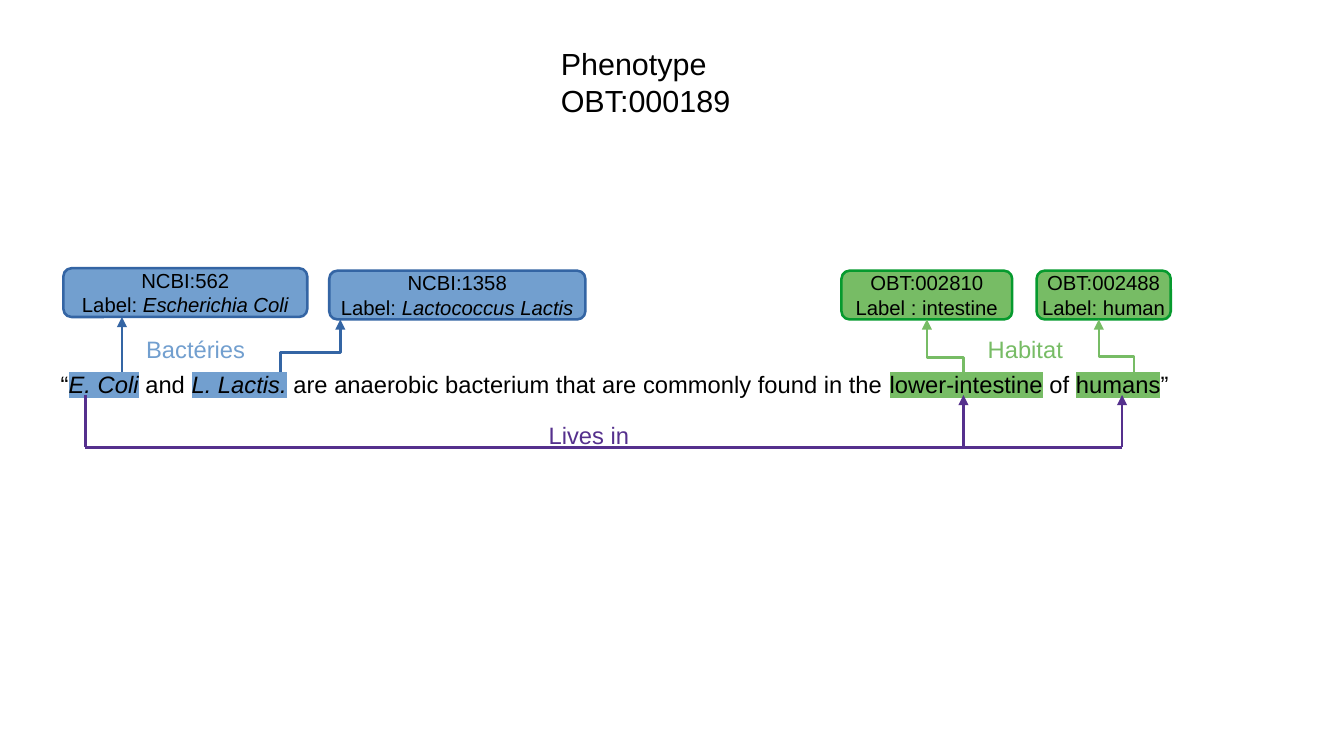
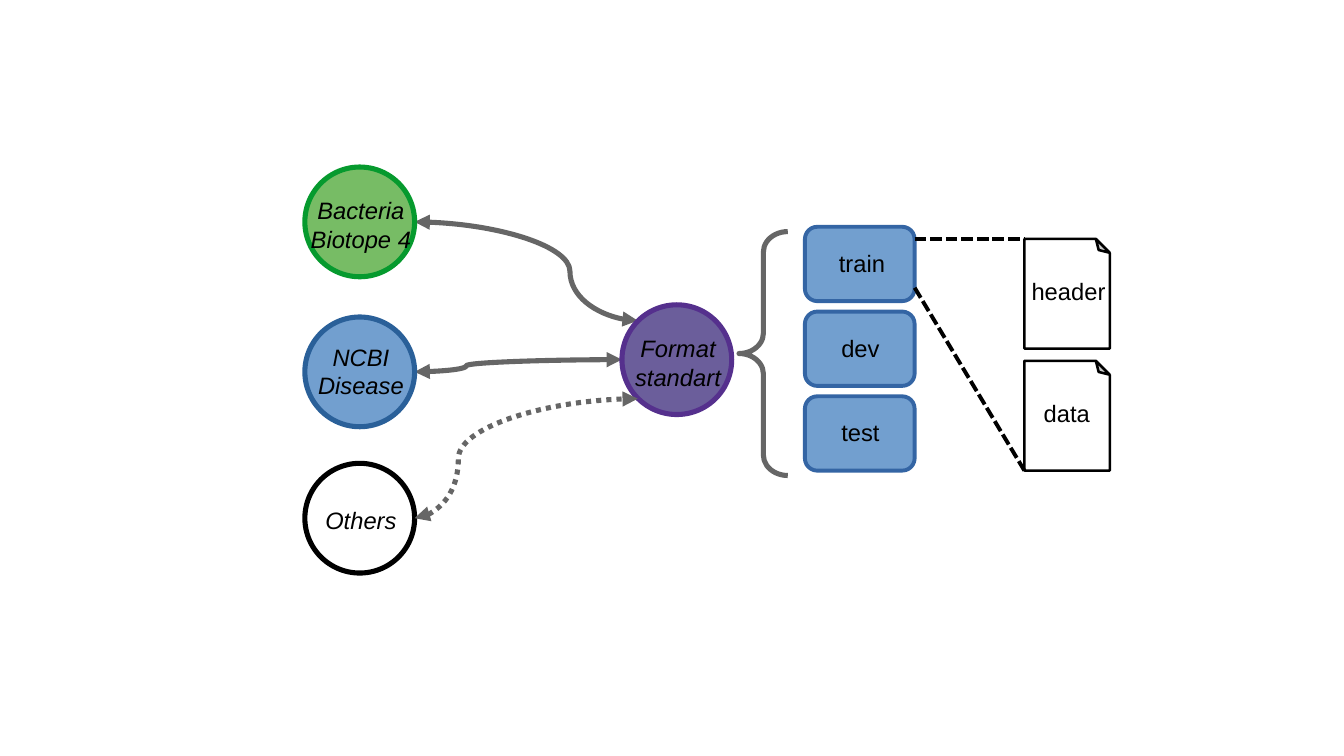
from lxml.etree import SubElement
from pptx import Presentation
from pptx.dml.color import RGBColor
from pptx.enum.dml import MSO_LINE
from pptx.enum.shapes import MSO_CONNECTOR, MSO_SHAPE
from pptx.enum.text import MSO_ANCHOR, PP_ALIGN
from pptx.oxml.ns import qn
from pptx.util import Inches, Pt

BLACK = RGBColor(0x00, 0x00, 0x00)
WHITE = RGBColor(0xFF, 0xFF, 0xFF)
GRAY = RGBColor(0x66, 0x66, 0x66)
BLUE = RGBColor(0x72, 0x9F, 0xCF)
BLUE_EDGE = RGBColor(0x34, 0x65, 0xA4)
BLUE_RING = RGBColor(0x2A, 0x60, 0x99)
GREEN = RGBColor(0x77, 0xBC, 0x65)
GREEN_EDGE = RGBColor(0x06, 0x9A, 0x2E)
PURPLE = RGBColor(0x6B, 0x5E, 0x9B)
PURPLE_EDGE = RGBColor(0x55, 0x30, 0x8D)


class Deck:
    font = "Arial"
    thin, medium, thick = 1.5, 2.3, 3

    def __init__(self):
        self.deck = Presentation()
        self.deck.slide_width = Inches(11.02)
        self.deck.slide_height = Inches(6.2)
        self.slide = None

    def new_slide(self):
        self.slide = self.deck.slides.add_slide(self.deck.slide_layouts[6])

    def style_run(self, run, size, color, italic=False, highlight=None):
        run.font.name = self.font
        run.font.size = Pt(size)
        run.font.italic = italic
        run.font.color.rgb = color
        if highlight is not None:
            properties = run.font._element
            mark = SubElement(properties, qn("a:highlight"))
            SubElement(mark, qn("a:srgbClr")).set("val", str(highlight))
            properties.find(qn("a:solidFill")).addnext(mark)

    def set_guide(self, item, name, ratio):
        geometry = item._element.spPr.find(qn("a:prstGeom"))
        guides = geometry.find(qn("a:avLst"))
        if guides is None:
            guides = SubElement(geometry, qn("a:avLst"))
        guide = SubElement(guides, qn("a:gd"))
        guide.set("name", name)
        guide.set("fmla", f"val {round(ratio * 100000)}")

    def text(self, left, top, width, height, words, size=14, color=BLACK,
             italic=False, align=PP_ALIGN.LEFT):
        box = self.slide.shapes.add_textbox(
            Inches(left), Inches(top), Inches(width), Inches(height))
        frame = box.text_frame
        frame.word_wrap = True
        frame.text = words
        for paragraph in frame.paragraphs:
            paragraph.alignment = align
            for run in paragraph.runs:
                self.style_run(run, size, color, italic)
        return frame

    def sentence(self, left, top, width, height, pieces):
        paragraph = self.text(left, top, width, height, "").paragraphs[0]
        paragraph.alignment = PP_ALIGN.JUSTIFY
        for words, italic, highlight in pieces:
            run = paragraph.add_run()
            run.text = words
            self.style_run(run, 14, BLACK, italic, highlight)

    def shape(self, kind, left, top, width, height, fill, edge, weight):
        shape = self.slide.shapes.add_shape(
            kind, Inches(left), Inches(top), Inches(width), Inches(height))
        shape.shadow.inherit = False
        if fill is None:
            shape.fill.background()
        else:
            shape.fill.solid()
            shape.fill.fore_color.rgb = fill
        shape.line.color.rgb = edge
        shape.line.width = Pt(weight)
        return shape

    def entity(self, left, top, width, identifier, prefix, name, fill, edge, italic):
        box = self.shape(MSO_SHAPE.ROUNDED_RECTANGLE, left, top, width, 0.4,
                         fill, edge, self.thin)
        frame = box.text_frame
        frame.word_wrap = False
        frame.vertical_anchor = MSO_ANCHOR.MIDDLE
        frame.margin_left = frame.margin_right = Inches(0.11)
        frame.margin_top = frame.margin_bottom = Inches(0.06)
        frame.text = f"{identifier}\n{prefix}"
        label = frame.paragraphs[1].add_run()
        label.text = name
        for paragraph in frame.paragraphs:
            paragraph.alignment = PP_ALIGN.CENTER
            for run in paragraph.runs:
                self.style_run(run, 12, BLACK)
        label.font.italic = italic

    def circle(self, left, top, label_top, words, fill, edge):
        self.shape(MSO_SHAPE.OVAL, left, top, 0.9, 0.9, fill, edge, self.thick)
        self.text(left - 0.14, label_top, 1.2, 0.54, words, italic=True,
                  align=PP_ALIGN.CENTER)

    def page(self, top, label_left, words):
        sheet = self.shape(MSO_SHAPE.FOLDED_CORNER, 8.4, top, 0.7, 0.9,
                           WHITE, BLACK, self.thin)
        self.set_guide(sheet, "adj", 0.163)
        sheet._element.spPr.find(qn("a:xfrm")).set("flipV", "1")
        self.text(label_left, top + 0.26, 0.84, 0.34, words)

    def line(self, start, end, color, weight, head=False, tail=False, dash=None,
             kind=MSO_CONNECTOR.STRAIGHT, bend=None):
        link = self.slide.shapes.add_connector(
            kind, *(Inches(value) for value in (*start, *end)))
        link.line.color.rgb = color
        link.line.width = Pt(weight)
        if dash is not None:
            link.line.dash_style = dash
        properties = link._element.spPr
        outline = properties.find(qn("a:ln"))
        for tag, wanted in (("a:headEnd", head), ("a:tailEnd", tail)):
            if wanted:
                SubElement(outline, qn(tag)).set("type", "triangle")
        SubElement(properties, qn("a:effectLst"))
        if bend is not None:
            self.set_guide(link, "adj1", bend)
        return link

    def step_up(self, start, end, color):
        middle_x, middle_y = (start[0] + end[0]) / 2, (start[1] + end[1]) / 2
        half_rise, half_run = (start[1] - end[1]) / 2, (end[0] - start[0]) / 2
        link = self.line((middle_x - half_rise, middle_y - half_run),
                         (middle_x + half_rise, middle_y + half_run),
                         color, self.thin, tail=True,
                         kind=MSO_CONNECTOR.ELBOW, bend=0.5)
        link._element.spPr.find(qn("a:xfrm")).set("rot", str(270 * 60000))

    def exchange(self, start, end, bend, dash=None):
        self.line(start, end, GRAY, self.thick, head=True, tail=True, dash=dash,
                  kind=MSO_CONNECTOR.CURVE, bend=bend)


def annotation_slide(deck):
    deck.new_slide()
    deck.text(4.5, 0.32, 3.08, 0.66, "Phenotype\vOBT:000189", size=18)
    for left, top, width, identifier, prefix, name, fill, edge, italic in (
        (0.52, 2.2, 2, "NCBI:562", "Label: ", "Escherichia Coli", BLUE, BLUE_EDGE, True),
        (2.7, 2.22, 2.1, "NCBI:1358", "Label: ", "Lactococcus Lactis", BLUE, BLUE_EDGE, True),
        (6.9, 2.22, 1.4, "OBT:002810", "Label : ", "intestine", GREEN, GREEN_EDGE, False),
        (8.5, 2.22, 1.1, "OBT:002488", "Label: ", "human", GREEN, GREEN_EDGE, False),
    ):
        deck.entity(left, top, width, identifier, prefix, name, fill, edge, italic)

    deck.line((1, 3.2), (1, 2.6), BLUE_EDGE, deck.thin, tail=True)
    deck.step_up((2.3, 3.16), (2.79, 2.62), BLUE_EDGE)
    deck.step_up((7.9, 3.24), (7.6, 2.62), GREEN)
    deck.step_up((9.3, 3.23), (9.01, 2.62), GREEN)

    deck.sentence(0.4, 2.98, 9.3, 0.54, (
        ("“", False, None),
        ("E. Coli", True, BLUE),
        (" and ", False, None),
        ("L. Lactis.", True, BLUE),
        (" are anaerobic bacterium that are commonly found in the ", False, None),
        ("lower-intestine", False, GREEN),
        (" of ", False, None),
        ("humans", False, GREEN),
        ("”", False, None),
    ))
    deck.text(1.1, 2.7, 2.4, 0.54, "Bactéries", color=BLUE)
    deck.text(8, 2.7, 1.21, 0.32, "Habitat", color=GREEN)
    deck.text(4.4, 3.4, 2.4, 0.54, "Lives in", color=PURPLE_EDGE)

    deck.line((9.2, 3.67), (0.7, 3.67), PURPLE_EDGE, deck.thin)
    for x, arrow in ((0.7, False), (7.9, True), (9.2, True)):
        deck.line((x, 3.24), (x, 3.67), PURPLE_EDGE, deck.thin, head=arrow)


def format_slide(deck):
    deck.new_slide()
    deck.exchange((5.23, 2.63), (3.4, 1.82), 0.304)
    deck.exchange((3.4, 3.05), (5.1, 2.95), 0.25)
    for left, top, label_top, words, fill, edge in (
        (2.5, 1.37, 1.56, "Bacteria\nBiotope 4", GREEN, GREEN_EDGE),
        (2.5, 2.6, 2.76, "NCBI Disease", BLUE, BLUE_RING),
        (2.5, 3.8, 4.1, "Others", WHITE, BLACK),
        (5.1, 2.5, 2.69, "Format standart", PURPLE, PURPLE_EDGE),
    ):
        deck.circle(left, top, label_top, words, fill, edge)
    deck.exchange((3.4, 4.25), (5.23, 3.27), 0.196, MSO_LINE.ROUND_DOT)

    brace = deck.shape(MSO_SHAPE.LEFT_BRACE, 6.06, 1.9, 0.4, 2, None, GRAY, deck.thick)
    brace.adjustments[0] = 0.417

    for row, (label_left, words) in enumerate(
            ((6.78, "train"), (6.8, "dev"), (6.8, "test"))):
        top = 1.86 + row * 0.695
        deck.shape(MSO_SHAPE.ROUNDED_RECTANGLE, 6.6, top, 0.9, 0.61,
                   BLUE, BLUE_EDGE, deck.medium)
        deck.text(label_left, top + 0.13, 0.84, 0.34, words)

    deck.page(1.96, 8.36, "header")
    deck.page(2.96, 8.46, "data")
    for start_y, end_y in ((1.96, 1.96), (2.36, 3.86)):
        deck.line((7.5, start_y), (8.4, end_y), BLACK, deck.medium,
                  dash=MSO_LINE.SQUARE_DOT)


def main():
    deck = Deck()
    annotation_slide(deck)
    format_slide(deck)
    deck.deck.save("out.pptx")


if __name__ == "__main__":
    main()
